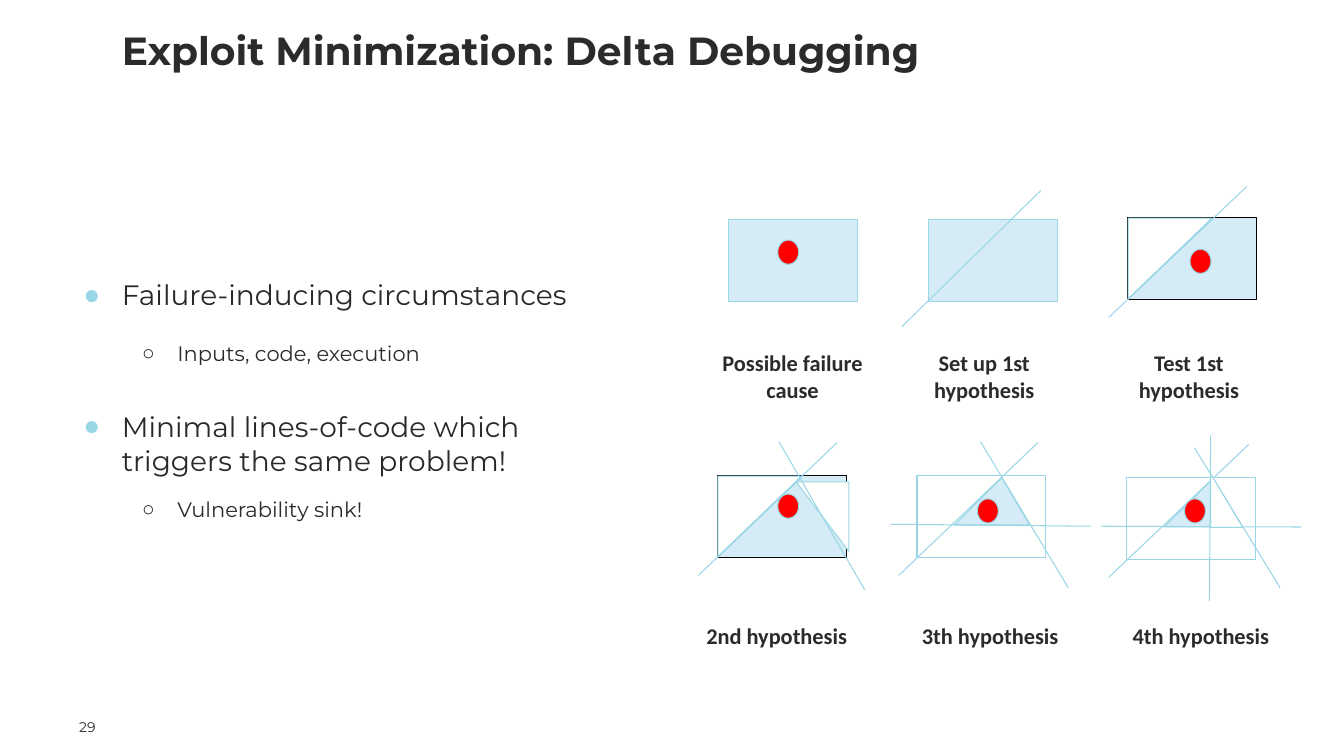
from dataclasses import dataclass

from lxml import etree
from pptx import Presentation
from pptx import util as u
from pptx.dml import color
from pptx.enum import shapes, text
from pptx.oxml import ns


@dataclass(frozen=True)
class Theme:
    ink: str = "2B2B2B"
    topic_ink: str = "292929"
    accent: str = "99D7E7"
    area: str = "D5ECF6"
    excluded: str = "FFFFFE"
    cause: str = "FF0000"
    outline: str = "000000"
    body_font: str = "Montserrat"
    label_font: str = "Calibri"
    title_size: int = 28
    topic_size: int = 20
    detail_size: int = 15
    label_size: int = 16
    number_size: int = 10
    line_width: float = 0.75


THEME = Theme()
FRAME_SIZE = (3.25, 2.06)
DOT_SIZE = (0.53, 0.61)
LABEL_SIZE = (4.55, 0.91)
LABEL_TOPS = (9.02, 15.57)
SHAPE = shapes.MSO_SHAPE

BULLETS = [
    (0, "Failure-inducing circumstances", 0),
    (1, "Inputs, code, execution", 21),
    (0, "Minimal lines-of-code which triggers the same problem!", 31),
    (1, "Vulnerability sink!", 14.5),
]
LEVELS = [
    {"char": "●", "bullet": THEME.accent, "left": 1.27, "hanging": 0.97,
     "size": THEME.topic_size, "ink": THEME.topic_ink},
    {"char": "○", "bullet": THEME.ink, "left": 2.67, "hanging": 0.89,
     "size": THEME.detail_size, "ink": THEME.ink},
]

DIAGONAL = ("line", (2.13, 0.03), (0, 2.06))
UPPER_LEFT = ("area", SHAPE.RIGHT_TRIANGLE, (0.05, -0.03, 2.03, 2.11), THEME.excluded, 90)
UPPER_RIGHT = ("area", SHAPE.RIGHT_TRIANGLE, (1.98, 0.15, 1.33, 1.75), THEME.excluded, 180)
RIGHT_SLICE = ("area", SHAPE.RIGHT_TRIANGLE, (2.11, -0.1, 0.81, 1.35), THEME.excluded, 0)
REMAINDER = ("area", SHAPE.ISOSCELES_TRIANGLE, (0.94, 0.05, 1.9, 1.19), THEME.area, 0)

PANELS = [
    {"label": "Possible failure cause", "label_left": 17.7, "row": 0,
     "frame": (18.36, 5.54), "fill": THEME.area, "border": THEME.accent,
     "parts": [], "dot": (1.24, 0.51)},
    {"label": "Set up 1st hypothesis", "label_left": 22.53, "row": 0,
     "frame": (23.39, 5.54), "fill": THEME.area, "border": THEME.accent,
     "parts": [("line", (2.84, -0.74), (-0.66, 2.69))], "dot": None},
    {"label": "Test 1st\vhypothesis", "label_left": 27.69, "row": 0,
     "frame": (28.42, 5.49), "fill": THEME.area, "border": THEME.outline,
     "parts": [DIAGONAL, UPPER_LEFT, ("line", (3, -0.79), (-0.48, 2.51))],
     "dot": (1.57, 0.79)},
    {"label": "2nd hypothesis", "label_left": 17.3, "row": 1,
     "frame": (18.08, 11.99), "fill": THEME.area, "border": THEME.outline,
     "parts": [DIAGONAL, UPPER_LEFT, UPPER_RIGHT,
               ("line", (1.55, -0.86), (3.71, 2.87)),
               ("line", (3.02, -0.84), (-0.48, 2.51))],
     "dot": (1.52, 0.46)},
    {"label": "3th hypothesis", "label_left": 22.68, "row": 1,
     "frame": (23.11, 11.99), "fill": THEME.excluded, "border": THEME.accent,
     "parts": [REMAINDER,
               ("line", (1.6, -0.86), (3.81, 2.82)),
               ("line", (3.05, -0.84), (-0.46, 2.51)),
               ("line", (-0.66, 1.22), (4.37, 1.27))],
     "dot": (1.52, 0.58)},
    {"label": "4th hypothesis", "label_left": 27.99, "row": 1,
     "frame": (28.4, 12.04), "fill": None, "border": THEME.accent,
     "parts": [REMAINDER,
               ("line", (1.7, -0.76), (3.86, 2.77)),
               ("line", (3.07, -0.84), (-0.46, 2.51)),
               ("line", (-0.66, 1.22), (4.39, 1.24)),
               RIGHT_SLICE,
               ("line", (2.08, 3.1), (2.11, -1.07))],
     "dot": (1.45, 0.53)},
]


def apply(target, values):
    for name, value in values.items():
        setattr(target, name, value)


def place(box, left, top, width, height):
    apply(box, {"left": u.Cm(left), "top": u.Cm(top),
                "width": u.Cm(width), "height": u.Cm(height)})


def set_frame(frame, anchor, side, vertical):
    apply(frame, {"word_wrap": True, "auto_size": text.MSO_AUTO_SIZE.NONE,
                  "vertical_anchor": anchor,
                  "margin_left": u.Cm(side), "margin_right": u.Cm(side),
                  "margin_top": u.Cm(vertical), "margin_bottom": u.Cm(vertical)})


def write(paragraph, words, size, align, font=THEME.body_font, ink=THEME.ink, bold=False):
    paragraph.text = words
    paragraph.alignment = align
    for run in paragraph.runs:
        apply(run.font, {"name": font, "size": u.Pt(size), "bold": bold})
        run.font.color.rgb = color.RGBColor.from_string(ink)


def set_bullet(paragraph, level):
    properties = paragraph._p.get_or_add_pPr()
    properties.set("marL", str(u.Cm(level["left"])))
    properties.set("indent", str(-u.Cm(level["hanging"])))
    tint = etree.SubElement(properties, ns.qn("a:buClr"))
    etree.SubElement(tint, ns.qn("a:srgbClr")).set("val", level["bullet"])
    etree.SubElement(properties, ns.qn("a:buChar")).set("char", level["char"])


def fill_title(title):
    place(title, 2.82, 0.51, 28.19, 1.5)
    set_frame(title.text_frame, text.MSO_ANCHOR.MIDDLE, 0.25, 0)
    write(title.text_frame.paragraphs[0], "Exploit Minimization: Delta Debugging",
          THEME.title_size, text.PP_ALIGN.LEFT, bold=True)


def fill_bullets(body):
    place(body, 1.55, 6.75, 13.46, 6.85)
    set_frame(body.text_frame, text.MSO_ANCHOR.TOP, 0.25, 0.25)
    for index, (depth, words, gap) in enumerate(BULLETS):
        frame = body.text_frame
        paragraph = frame.add_paragraph() if index else frame.paragraphs[0]
        level = LEVELS[depth]
        set_bullet(paragraph, level)
        apply(paragraph, {"level": depth, "space_before": u.Pt(gap), "space_after": u.Pt(0)})
        write(paragraph, words, level["size"], text.PP_ALIGN.LEFT, ink=level["ink"])


def add_text(slide, box, words, size, align, anchor, inset, **style):
    caption = slide.shapes.add_textbox(*map(u.Cm, box))
    set_frame(caption.text_frame, anchor, inset, inset)
    write(caption.text_frame.paragraphs[0], words, size, align, **style)


def set_line(line, ink):
    line.color.rgb = color.RGBColor.from_string(ink)
    line.width = u.Pt(THEME.line_width)


def add_area(slide, kind, box, fill, border=THEME.accent, rotation=0):
    area = slide.shapes.add_shape(kind, *map(u.Cm, box))
    area.shadow.inherit = False
    area.rotation = rotation
    if fill:
        area.fill.solid()
        area.fill.fore_color.rgb = color.RGBColor.from_string(fill)
    else:
        area.fill.background()
    set_line(area.line, border)
    return area


def add_cut(slide, start, end):
    cut = slide.shapes.add_connector(shapes.MSO_CONNECTOR.STRAIGHT, *map(u.Cm, start + end))
    set_line(cut.line, THEME.accent)
    etree.SubElement(cut._element.spPr, ns.qn("a:effectLst"))


def add_panel(slide, panel):
    left, top = panel["frame"]

    def shift(point):
        return left + point[0], top + point[1]

    add_area(slide, SHAPE.RECTANGLE, panel["frame"] + FRAME_SIZE, panel["fill"], panel["border"])
    for kind, *part in panel["parts"]:
        if kind == "line":
            add_cut(slide, *map(shift, part))
        else:
            outline, box, fill, rotation = part
            triangle = add_area(slide, outline, shift(box) + box[2:], fill, rotation=rotation)
            if outline == SHAPE.ISOSCELES_TRIANGLE:
                triangle.adjustments[0] = 0.63
    if panel["dot"]:
        add_area(slide, SHAPE.OVAL, shift(panel["dot"]) + DOT_SIZE, THEME.cause)
    add_text(slide, (panel["label_left"], LABEL_TOPS[panel["row"]]) + LABEL_SIZE,
             panel["label"], THEME.label_size, text.PP_ALIGN.CENTER,
             text.MSO_ANCHOR.MIDDLE, 0.25, font=THEME.label_font, bold=True)


def main():
    deck = Presentation()
    apply(deck, {"slide_width": u.Cm(33.87), "slide_height": u.Cm(19.05)})
    slide = deck.slides.add_slide(deck.slide_layouts[1])
    fill_title(slide.shapes.title)
    fill_bullets(slide.placeholders[1])
    for panel in PANELS:
        add_panel(slide, panel)
    add_text(slide, (0.89, 17.83, 1.52, 0.71), "29", THEME.number_size,
             text.PP_ALIGN.RIGHT, text.MSO_ANCHOR.BOTTOM, 0)
    deck.save("out.pptx")


if __name__ == "__main__":
    main()
